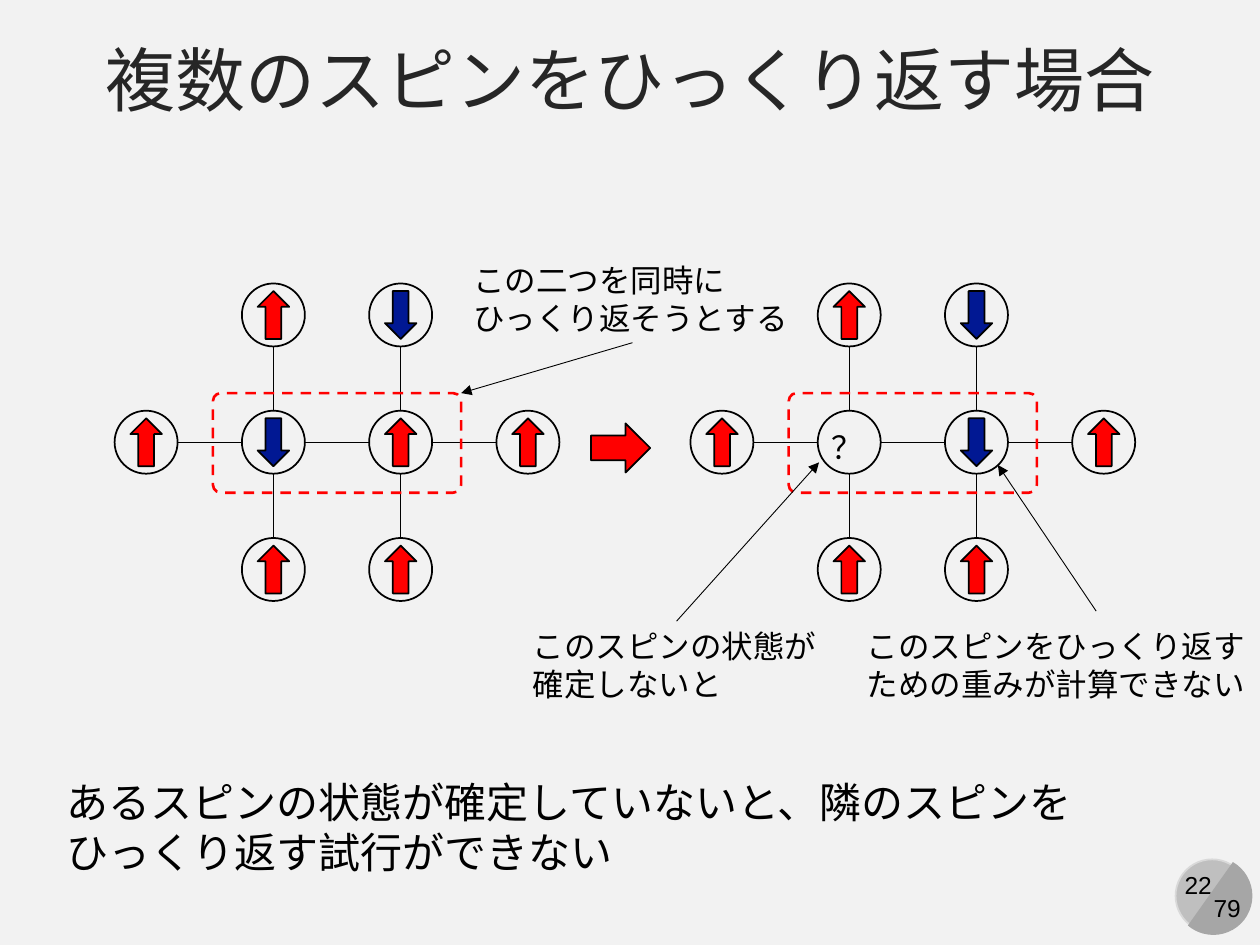
"""Build the slide on flipping several neighbouring spins at once."""
from dataclasses import dataclass
from typing import Optional

from lxml import etree
from pptx import Presentation
from pptx.dml.color import RGBColor
from pptx.enum import dml, shapes, text
from pptx.oxml import ns
from pptx.util import Inches, Pt

BLACK = RGBColor(0x00, 0x00, 0x00)
RED = RGBColor(0xFF, 0x00, 0x00)
NAVY = RGBColor(0x01, 0x18, 0x93)
TITLE_GREY = RGBColor(0x26, 0x26, 0x26)
PAPER = RGBColor(0xF2, 0xF2, 0xF2)
DISC = RGBColor(0xBF, 0xBF, 0xBF)
DISC_EDGE = RGBColor(0xD9, 0xD9, 0xD9)
DISC_SHADE = RGBColor(0xA6, 0xA6, 0xA6)

FONT = "Arial"
PRESET = shapes.MSO_SHAPE
PITCH = 1.01
RADIUS = 0.25
ARROW_WIDTH, ARROW_HEIGHT = 0.25, 0.38
CENTRE_Y = 3.51
OUTER_SITES = {(1, -1): "up", (2, -1): "down", (0, 0): "up", (3, 0): "up",
               (1, 1): "up", (2, 1): "up"}


@dataclass(frozen=True)
class Lattice:
    left_spin_x: float
    pair: tuple[str, str]


@dataclass(frozen=True)
class Label:
    left: float
    top: float
    width: float
    height: float
    lines: tuple[str, ...]
    size: int = 18
    align: Optional[text.PP_ALIGN] = None


@dataclass(frozen=True)
class Pointer:
    start: tuple[float, float]
    end: tuple[float, float]


LATTICES = (Lattice(1.16, ("down", "up")), Lattice(5.73, ("unknown", "down")))

LABELS = (
    Label(3.66, 2.02, 2.73, 0.71, ("この二つを同時に", "ひっくり返そうとする")),
    Label(0.43, 6.11, 8.28, 0.91,
          ("あるスピンの状態が確定していないと、隣のスピンを", "ひっくり返す試行ができない"), 24),
    Label(6.5, 3.35, 0.45, 0.4, ("？",)),
    Label(4.13, 4.93, 2.47, 0.71, ("このスピンの状態が", "確定しないと")),
    Label(6.78, 4.93, 3.23, 0.71, ("このスピンをひっくり返す", "ための重みが計算できない")),
)

POINTERS = (
    Pointer((5.02, 2.72), (3.66, 3.12)),
    Pointer((5.37, 4.93), (6.5, 3.67)),
    Pointer((8.7, 4.85), (7.92, 3.69)),
)


def add_preset(parent, preset, left: float, top: float, width: float, height: float,
               fill: Optional[RGBColor] = None, line: Optional[RGBColor] = BLACK,
               weight: float = 1):
    """Add a preset shape without shadow."""
    shape = parent.add_shape(preset, Inches(left), Inches(top), Inches(width), Inches(height))
    shape.shadow.inherit = False
    if fill is None:
        shape.fill.background()
    else:
        shape.fill.solid()
        shape.fill.fore_color.rgb = fill
    if line is None:
        shape.line.fill.background()
    else:
        shape.line.color.rgb = line
        shape.line.width = Pt(weight)
    return shape


def add_line(parent, start: tuple[float, float], end: tuple[float, float]):
    """Add a thin black straight line."""
    line = parent.add_connector(shapes.MSO_CONNECTOR.STRAIGHT,
                                *(Inches(value) for value in (*start, *end)))
    line.line.color.rgb = BLACK
    line.line.width = Pt(0.5)
    etree.SubElement(line._element.spPr, ns.qn("a:effectLst"))
    return line


def add_pointer(parent, pointer: Pointer) -> None:
    """Add a line that ends in a triangular arrowhead."""
    line = add_line(parent, pointer.start, pointer.end)
    etree.SubElement(line.line._get_or_add_ln(), ns.qn("a:tailEnd"), type="triangle")


def add_label(parent, label: Label) -> None:
    """Add unwrapped text, one paragraph per line."""
    box = parent.add_textbox(Inches(label.left), Inches(label.top),
                             Inches(label.width), Inches(label.height))
    frame = box.text_frame
    frame.word_wrap = False
    frame.auto_size = text.MSO_AUTO_SIZE.SHAPE_TO_FIT_TEXT
    frame.text = "\n".join(label.lines)
    for paragraph in frame.paragraphs:
        paragraph.alignment = label.align
        paragraph.font.name = FONT
        paragraph.font.size = Pt(label.size)
        paragraph.font.color.rgb = BLACK


def add_spin(parent, x: float, y: float, state: str) -> None:
    """Add a circled spin centred on a lattice site."""
    add_preset(parent, PRESET.OVAL, x - RADIUS, y - RADIUS, 2 * RADIUS, 2 * RADIUS)
    if state == "unknown":
        return
    arrow = add_preset(parent, PRESET.DOWN_ARROW, x - ARROW_WIDTH / 2, y - ARROW_HEIGHT / 2,
                       ARROW_WIDTH, ARROW_HEIGHT, RED if state == "up" else NAVY)
    arrow.rotation = 180 if state == "up" else 0


def add_lattice(parent, lattice: Lattice) -> None:
    """Add eight spins with the bonds between neighbours."""
    group = parent.add_group_shape().shapes
    columns = [lattice.left_spin_x + PITCH * column for column in range(4)]
    sites = {**OUTER_SITES, (1, 0): lattice.pair[0], (2, 0): lattice.pair[1]}
    for (column, row), state in sites.items():
        add_spin(group, columns[column], CENTRE_Y + PITCH * row, state)
    for left, right in zip(columns, columns[1:]):
        add_line(group, (left + RADIUS, CENTRE_Y), (right - RADIUS, CENTRE_Y))
    for x in columns[1:3]:
        for upper in (CENTRE_Y - PITCH, CENTRE_Y):
            add_line(group, (x, upper + RADIUS), (x, upper + PITCH - RADIUS))


def add_pair_frame(parent, lattice: Lattice) -> None:
    """Frame the two central spins with a dashed outline."""
    frame = add_preset(parent, PRESET.ROUNDED_RECTANGLE, lattice.left_spin_x + 0.53, 3.12,
                       1.97, 0.79, line=RED, weight=1.5)
    frame.adjustments[0] = 0.08
    frame.line.dash_style = dml.MSO_LINE.DASH


def add_page_badge(parent) -> None:
    """Add the round badge with page number and page count."""
    add_preset(parent, PRESET.OVAL, 9.33, 6.82, 0.58, 0.58, DISC, DISC_EDGE)
    centre = text.PP_ALIGN.CENTER
    add_label(parent, Label(9.29, 6.86, 0.44, 0.34, ("22",), 14, centre))
    shade = add_preset(parent, PRESET.CHORD, 9.32, 6.8, 0.62, 0.62, DISC_SHADE, None)
    shade.rotation = 255
    shade.adjustments[0] = 27
    shade.adjustments[1] = 141.42
    add_label(parent, Label(9.53, 7.04, 0.42, 0.34, ("79",), 14, centre))


def set_title(title) -> None:
    """Place and format the slide title."""
    title.left, title.top = Inches(0), Inches(0.21)
    title.width, title.height = Inches(10), Inches(0.82)
    frame = title.text_frame
    frame.text = "複数のスピンをひっくり返す場合"
    frame.vertical_anchor = text.MSO_ANCHOR.MIDDLE
    paragraph = frame.paragraphs[0]
    paragraph.alignment = text.PP_ALIGN.CENTER
    paragraph.font.name = FONT
    paragraph.font.size = Pt(40)
    paragraph.font.color.rgb = TITLE_GREY


def main() -> None:
    """Build and save the presentation."""
    deck = Presentation()
    deck.slide_width, deck.slide_height = Inches(10), Inches(7.5)
    slide = deck.slides.add_slide(deck.slide_layouts[5])
    slide.background.fill.solid()
    slide.background.fill.fore_color.rgb = PAPER
    canvas = slide.shapes
    set_title(canvas.title)
    add_page_badge(canvas)
    for lattice in LATTICES:
        add_lattice(canvas, lattice)
        add_pair_frame(canvas, lattice)
    add_preset(canvas, PRESET.RIGHT_ARROW, 4.69, 3.36, 0.47, 0.39, RED)
    for label in LABELS:
        add_label(canvas, label)
    for pointer in POINTERS:
        add_pointer(canvas, pointer)
    deck.save("out.pptx")


if __name__ == "__main__":
    main()
